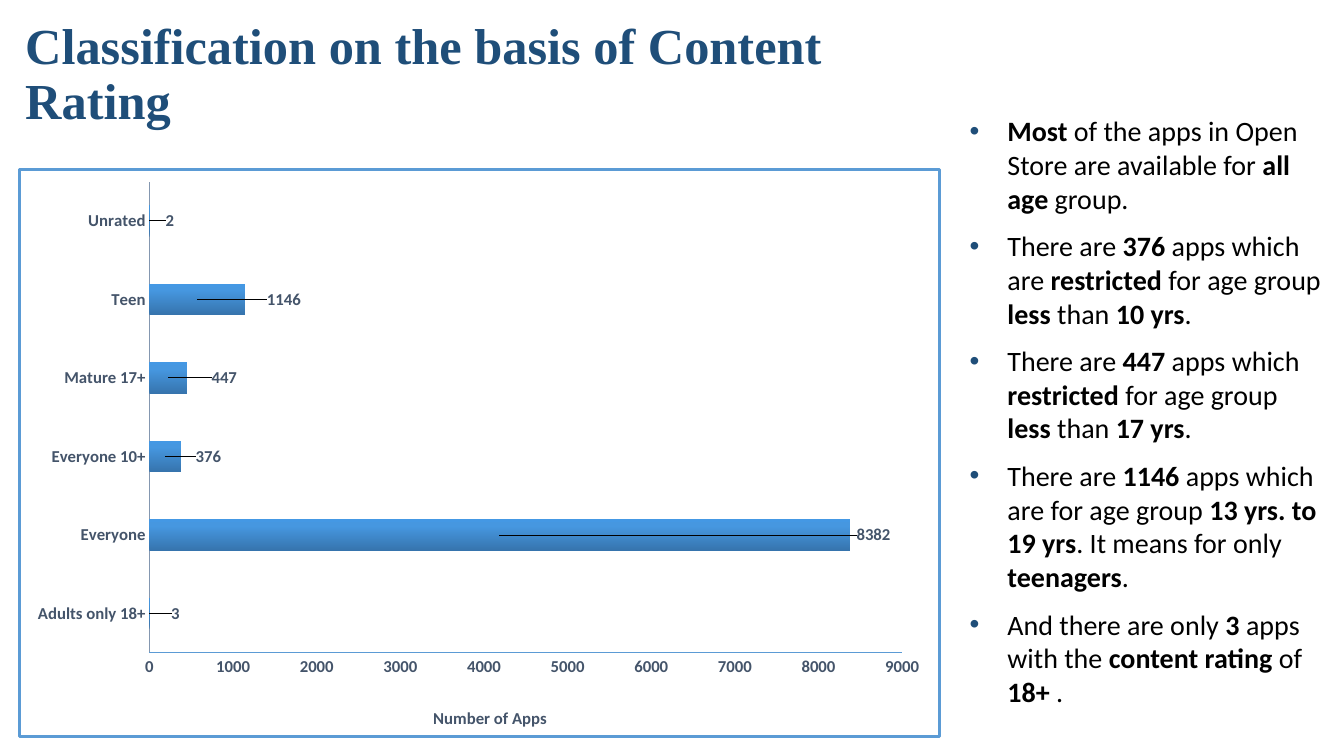
"""Build a slide with a bar chart of content ratings and a bulleted summary."""
from copy import deepcopy
from lxml import etree
from pptx import Presentation
from pptx import util as u
from pptx.chart import data as cd
from pptx.dml import color as dc
from pptx.enum import chart as ec
from pptx.enum import text as et
from pptx.oxml import parse_xml
from pptx.oxml import ns

Pt = u.Pt
HUES = {"navy": "1F4E79", "ink": "000000", "slate": "44546A", "axis": "8497B0",
        "edge": "5B9BD5", "low": "3674AD", "mid": "4697E0", "high": "4498E4"}
RGB = {k: dc.RGBColor.from_string(v) for k, v in HUES.items()}
FORMS = {
    "title": {"name": "Times New Roman", "size": Pt(36), "bold": True},
    "body": {"name": "Calibri", "size": Pt(20), "bold": False},
    "chart": {"name": "Calibri", "size": Pt(12), "bold": True},
}
RATES = [("Adults only 18+", 3, 0.028), ("Everyone", 8382, 0.406),
         ("Everyone 10+", 376, 0.047), ("Mature 17+", 447, 0.061),
         ("Teen", 1146, 0.094), ("Unrated", 2, 0.022)]
NOTES = [
    "*Most* of the apps in Open Store are available for *all age *group.",
    "There are *376* apps which are *restricted* for age group *less* than *10 yrs*.",
    "There are *447 *apps which *restricted* for age group *less *than *17 yrs*.",
    "There are *1146* apps which are for age group *13 yrs. to 19 yrs*. "
    "It means for only *teenagers*.",
    "And there are only *3 *apps with the *content rating *of *18+* .",
]


def style(font, form, hue):
    for key, val in FORMS[form].items():
        setattr(font, key, val)
    font.color.rgb = RGB[hue]


def layout(inner="", **pos):
    tags = "".join(f'<c:{k}Mode val="edge"/>' for k in pos if inner and k in "xy")
    tags += "".join(f'<c:{k} val="{v}"/>' for k, v in pos.items())
    return parse_xml(f'<c:layout {ns.nsdecls("c")}><c:manualLayout>'
                     f'{inner}{tags}</c:manualLayout></c:layout>')


deck = Presentation()
deck.slide_width, deck.slide_height = Pt(960), Pt(540)
slide = deck.slides.add_slide(deck.slide_layouts[0])
title, body = slide.placeholders
SPOTS = [(title, (10.8, 11.5, 685.4, 100)), (body, (685.4, 77.8, 265.7, 452))]
for box, spot in SPOTS:
    box.left, box.top, box.width, box.height = map(Pt, spot)
    frame = box.text_frame
    frame.word_wrap = True
    frame.auto_size = et.MSO_AUTO_SIZE.NONE
    frame.vertical_anchor = et.MSO_ANCHOR.TOP

title.text_frame.text = "Classification on the basis of Content Rating"
head = title.text_frame.paragraphs[0]
head.alignment, head.line_spacing = et.PP_ALIGN.LEFT, 0.9
style(head.runs[0].font, "title", "navy")

frame = body.text_frame
for i, note in enumerate(NOTES):
    para = frame.paragraphs[0] if i == 0 else frame.add_paragraph()
    para.alignment, para.line_spacing = et.PP_ALIGN.LEFT, 1.0
    para.space_before = Pt(10)
    props = para._p.get_or_add_pPr()
    props.set("marL", str(Pt(27)))
    props.set("indent", str(Pt(-27)))
    tint = etree.SubElement(props, ns.qn("a:buClr"))
    etree.SubElement(tint, ns.qn("a:srgbClr"), val=HUES["navy"])
    etree.SubElement(props, ns.qn("a:buFont"), typeface="Arial")
    etree.SubElement(props, ns.qn("a:buChar"), char="•")
    for j, part in enumerate(note.split("*")):
        if part:
            run = para.add_run()
            run.text = part
            style(run.font, "body", "ink")
            run.font.bold = j % 2 == 1

data = cd.CategoryChartData()
data.categories = [rate[0] for rate in RATES]
data.add_series("Series 1", [rate[1] for rate in RATES])
chart = slide.shapes.add_chart(ec.XL_CHART_TYPE.BAR_STACKED, Pt(13), Pt(120.2),
                               Pt(659.5), Pt(406.8), data).chart
chart.has_legend = chart.has_title = False
style(chart.font, "chart", "slate")
area = chart._chartSpace.find(ns.qn("c:chart"))
area.addnext(parse_xml(
    f'<c:spPr {ns.nsdecls("c", "a")}><a:noFill/><a:ln w="{Pt(2.25)}"><a:solidFill>'
    f'<a:srgbClr val="{HUES["edge"]}"/></a:solidFill><a:round/></a:ln></c:spPr>'))
grid = area.find(ns.qn("c:plotArea"))
for old in grid.findall(ns.qn("c:layout")):
    grid.remove(old)
grid.insert(0, layout('<c:layoutTarget val="inner"/>', x=0.141, y=0.021, w=0.818, h=0.832))

for axis, hue in ((chart.category_axis, "axis"), (chart.value_axis, "edge")):
    axis.has_major_gridlines = False
    axis.major_tick_mark = axis.minor_tick_mark = ec.XL_TICK_MARK.NONE
    axis.format.line.width = Pt(0.75)
    axis.format.line.color.rgb = RGB[hue]
    style(axis.tick_labels.font, "chart", "slate")
scale = chart.value_axis
scale.minimum_scale, scale.maximum_scale, scale.major_unit = 0, 9000, 1000
name = scale.axis_title
name.text_frame.text = "Number of Apps"
style(name.text_frame.paragraphs[0].runs[0].font, "chart", "slate")
for old in name._element.findall(ns.qn("c:layout")):
    name._element.remove(old)
name._element.find(ns.qn("c:tx")).addnext(layout(" ", x=0.446, y=0.942))

plot = chart.plots[0]
plot.gap_width, plot.overlap, plot.vary_by_categories = 150, 100, False
bars = plot.series[0]
fill = bars.format.fill
fill.gradient()
fill.gradient_angle = 90
stops = bars._element.xpath(".//a:gsLst")[0]
stops.append(deepcopy(stops[-1]))
for stop, hue, pos in zip(fill.gradient_stops, ("low", "mid", "high"), (0, 0.8, 1)):
    stop.color.rgb, stop.position = RGB[hue], pos

tags = bars.data_labels
tags.show_value = True
tags.position = ec.XL_LABEL_POSITION.CENTER
style(tags.font, "chart", "slate")
for i, (_, _, shift) in enumerate(RATES):
    tag = bars.points[i].data_label
    style(tag.font, "chart", "slate")
    tag.position = ec.XL_LABEL_POSITION.CENTER
    mark = bars._element.xpath(f'.//c:dLbl[c:idx/@val="{i}"]')[0]
    mark.find(ns.qn("c:idx")).addnext(layout(x=shift, y=0))

deck.save("out.pptx")
